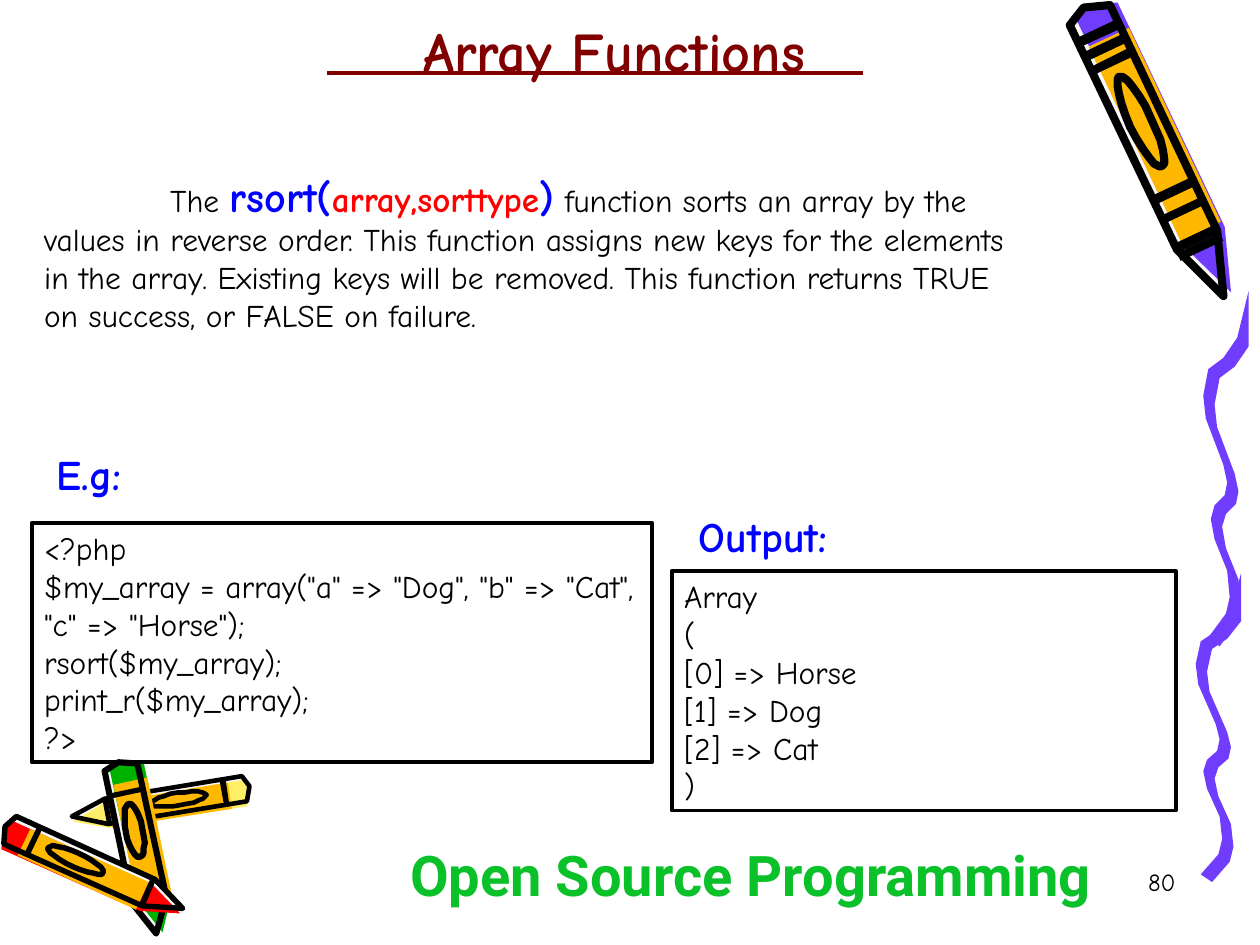
from dataclasses import dataclass
from math import cos, hypot, pi, sin
from lxml.etree import SubElement
from pptx import Presentation
from pptx.dml.color import RGBColor
from pptx.enum.shapes import MSO_CONNECTOR, MSO_SHAPE
from pptx.enum.text import MSO_ANCHOR, PP_ALIGN
from pptx.oxml.ns import qn
from pptx.util import Cm, Pt


@dataclass(frozen=True)
class Theme:
    face: str = "Comic Neue"
    foot: str = "Roboto"
    black: str = "000000"
    white: str = "F8F8F8"
    purple: str = "703DFF"
    gold: str = "FFB800"
    lemon: str = "FFEF66"
    green: str = "00B200"
    red: str = "FF0000"
    blue: str = "0000FF"
    maroon: str = "800000"
    brand: str = "0BC129"
    title: int = 32
    head: int = 24
    term: int = 20
    body: int = 18
    small: int = 14


theme = Theme()
inch = Cm(2.54)
deck = Presentation()
deck.slide_width, deck.slide_height = Cm(25.4), Cm(19.05)
slide = deck.slides.add_slide(deck.slide_layouts[6])
shapes = slide.shapes


def style(font, size, color, bold=False, face=theme.face):
    font.name, font.size, font.bold = face, Pt(size), bold
    font.color.rgb = RGBColor.from_string(color)


def draw(dots, fill=None, stroke=0):
    pen = shapes.build_freeform(*dots[0], scale=inch / 100)
    pen.add_line_segments(dots[1:], close=True)
    part = pen.convert_to_shape()
    part.shadow.inherit = False
    if fill:
        part.fill.solid()
        part.fill.fore_color.rgb = RGBColor.from_string(fill)
    else:
        part.fill.background()
    if stroke:
        part.line.color.rgb = RGBColor.from_string(theme.black)
        part.line.width = Pt(stroke)
    else:
        part.line.fill.background()
    return part


shift, band = 0.3, 0.03
shell = [(0, -0.85), (-0.03, -0.1), (0, 0.85), (0.8, 0.85), (1, 0), (0.8, -0.85)]
core = [(along, across + shift) for along, across in shell]
barrel = [(0.09, -0.55), (0.09, 1.15), (0.78, 1.15), (0.78, -0.55)]
turns = [2 * pi * step / 24 for step in range(24)]
ring = [(0.38 + 0.16 * cos(turn), 0.42 * sin(turn)) for turn in turns]

crayons = [
    ((865, 12), (971, 235), 21, theme.purple, theme.purple, (0.05, 0.1, 0.15, 0.61, 0.68, 0.78, 0.81)),
    ((194, 626), (57, 648), 12, theme.lemon, theme.lemon, (0.1, 0.78)),
    ((96, 609), (124, 741), 16, theme.green, theme.green, (0.14, 0.78)),
    ((8, 659), (145, 721), -14, theme.red, theme.red, (0.12, 0.78)),
]
for (left, top), (right, low), half, cap, tip, bands in crayons:
    run, drop = right - left, low - top
    size = hypot(run, drop)
    side, rise = half * drop / size, -half * run / size
    stroke = abs(half) * 0.22
    layers = [(shell, theme.white, 0), (core, cap, 0), (barrel, theme.gold, 0)]
    for start in bands:
        end = start + band
        layers.append(([(start, -0.9), (start, 0.9), (end, 0.9), (end, -0.9)], theme.black, 0))
    layers += [(ring, None, stroke), (shell, None, stroke)]
    parts = []
    for points, fill, line in layers:
        dots = [(left + u * run + v * side, top + u * drop + v * rise) for u, v in points]
        parts.append(draw(dots, fill, line))
    shapes.add_group_shape(parts)

edge = [(36, 0), (27, 32), (16, 46), (4, 54), (0, 72), (2, 88), (16, 120), (19, 132),
        (17, 141), (9, 148), (6, 157), (9, 171), (19, 193), (21, 211), (18, 223), (4, 239)]
thick, deep = 9, 6
ribbon = edge + [(x + thick, y + deep) for x, y in reversed(edge[1:])]
waves = []
for left, top, grow in ((949, 455, 1), (955, 231, 1.15)):
    waves.append(draw([(left + x, top + y * grow) for x, y in ribbon], theme.purple))
shapes.add_group_shape(waves)

code = """<?php
$my_array = array("a" => "Dog", "b" => "Cat", "c" => "Horse");
rsort($my_array);
print_r($my_array);
?>"""
result = """Array
(
[0] => Horse
[1] => Dog
[2] => Cat
)"""

for left, top, width, text in ((0.64, 10.54, 12.5, code), (13.54, 11.51, 10.16, result)):
    box = shapes.add_shape(MSO_SHAPE.RECTANGLE, Cm(left), Cm(top), Cm(width), Cm(4.83))
    box.shadow.inherit = False
    box.fill.background()
    box.line.color.rgb = RGBColor.from_string(theme.black)
    box.line.width = Pt(2.25)
    frame = box.text_frame
    frame.word_wrap, frame.vertical_anchor = True, MSO_ANCHOR.MIDDLE
    para = frame.paragraphs[0]
    para.text, para.alignment = text, PP_ALIGN.LEFT
    style(para.font, theme.body, theme.black)

labels = [
    (18.67, 17.35, 5.28, 1.27, "80", PP_ALIGN.RIGHT, (theme.small, theme.black)),
    (0.89, 8.92, 7.24, 1.27, "E.g:", PP_ALIGN.LEFT, (theme.head, theme.blue, True)),
    (13.84, 10.16, 7.11, 1.27, "Output:", PP_ALIGN.LEFT, (theme.head, theme.blue, True)),
    (7.62, 16.81, 15.04, 2.24, "Open Source Programming", PP_ALIGN.CENTER,
     (theme.title, theme.brand, True, theme.foot)),
    (6.35, 0.2, 12.07, 1.63, "Array Functions", PP_ALIGN.CENTER, (theme.title, theme.maroon, True)),
]
for left, top, width, height, text, align, look in labels:
    frame = shapes.add_textbox(Cm(left), Cm(top), Cm(width), Cm(height)).text_frame
    frame.word_wrap = True
    para = frame.paragraphs[0]
    para.text, para.alignment = text, align
    style(para.font, *look)

rule = shapes.add_connector(MSO_CONNECTOR.STRAIGHT, Cm(6.6), Cm(1.47), Cm(17.4), Cm(1.47))
rule.line.color.rgb = RGBColor.from_string(theme.maroon)
rule.line.width = Pt(2)
SubElement(rule._element.spPr, qn("a:effectLst"))

frame = shapes.add_textbox(Cm(0.64), Cm(3.3), Cm(20.12), Cm(3.56)).text_frame
frame.word_wrap, frame.vertical_anchor = True, MSO_ANCHOR.MIDDLE
para = frame.paragraphs[0]
tabs = SubElement(para._p.get_or_add_pPr(), qn("a:tabLst"))
SubElement(tabs, qn("a:tab"), pos=str(inch), algn="l")
para.font.name = theme.face
for text, size, color, bold in (
    ("\tThe ", theme.body, theme.black, False),
    ("rsort(", theme.head, theme.blue, True),
    ("array,sorttype", theme.term, theme.red, True),
    (")", theme.head, theme.blue, True),
    (" function sorts an array by the values in reverse order. This function assigns new keys for "
     "the elements in the array. Existing keys will be removed. This function returns TRUE on "
     "success, or FALSE on failure.", theme.body, theme.black, False),
):
    piece = para.add_run()
    piece.text = text
    font = piece.font
    font.size, font.bold = Pt(size), bold
    font.color.rgb = RGBColor.from_string(color)

deck.save("out.pptx")
